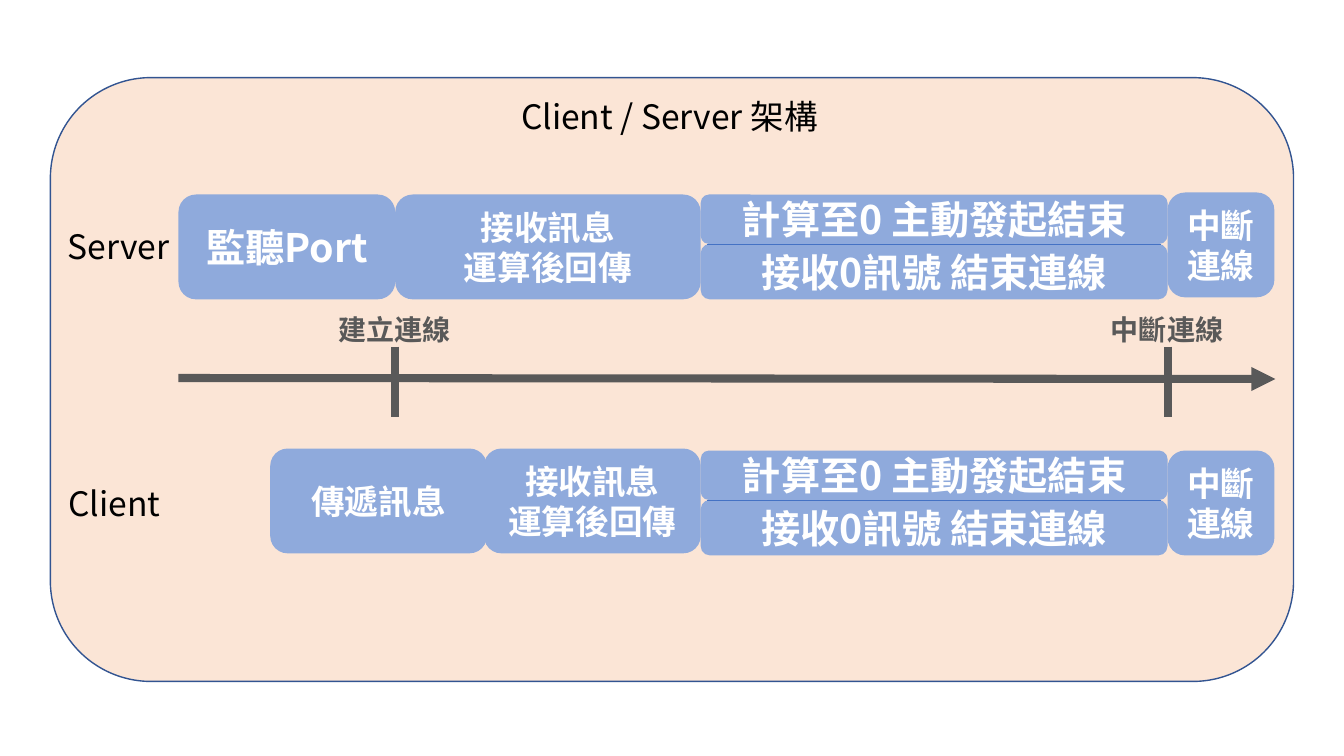
from dataclasses import dataclass

from pptx import Presentation
from pptx.dml.color import RGBColor
from pptx.enum.shapes import MSO_CONNECTOR as Link, MSO_SHAPE as Shape
from pptx.enum.text import MSO_ANCHOR as Anchor, PP_ALIGN as Align
from pptx.oxml.ns import qn
from pptx.util import Inches, Pt


@dataclass(frozen=True)
class Theme:
    """Colours, type sizes and line widths of the slide."""
    font: str = "Noto Sans CJK TC"
    panel: str = "FBE5D6"
    border: str = "325491"
    box: str = "8FAADC"
    divider: str = "4472C4"
    axis: str = "595959"
    ink: str = "000000"
    light: str = "FFFFFF"
    large: int = 28
    body: int = 24
    small: int = 20
    axis_width: float = 5.75
    divider_width: float = 0.5


def write(frame, text, *, size, color, bold=False, align=Align.LEFT,
          anchor=Anchor.TOP, wrap=True, font=Theme.font):
    """Put formatted text in a frame, with \\v as a line break."""
    frame.word_wrap = wrap
    frame.vertical_anchor = anchor
    paragraph = frame.paragraphs[0]
    paragraph.text = text
    paragraph.alignment = align
    for run in paragraph.runs:
        run.font.size = Pt(size)
        run.font.bold = bold
        run.font.name = font
        run.font.color.rgb = RGBColor.from_string(color)
        properties = run.font._element
        east_asian = properties.makeelement(qn("a:ea"), {"typeface": font})
        properties.find(qn("a:latin")).addnext(east_asian)


class Diagram:
    """Draws themed elements on the current slide."""

    def __init__(self, slide, theme):
        """Keep the slide and its theme."""
        self.shapes = slide.shapes
        self.theme = theme

    def rounded(self, left, top, width, height, fill, border=None):
        """Add a rounded rectangle."""
        shape = self.shapes.add_shape(
            Shape.ROUNDED_RECTANGLE, *map(Inches, (left, top, width, height)))
        shape.shadow.inherit = False
        shape.fill.solid()
        shape.fill.fore_color.rgb = RGBColor.from_string(fill)
        if border:
            shape.line.color.rgb = RGBColor.from_string(border)
            shape.line.width = Pt(1)
        else:
            shape.line.fill.background()
        return shape

    def step(self, text, left, top, width, height, size):
        """Add a box that names one step."""
        box = self.rounded(left, top, width, height, self.theme.box)
        write(box.text_frame, text, size=size, color=self.theme.light,
              bold=True, align=Align.CENTER, anchor=Anchor.MIDDLE)

    def label(self, text, left, top, width, height, wrap=False, **style):
        """Add a free-standing text."""
        box = self.shapes.add_textbox(*map(Inches, (left, top, width, height)))
        write(box.text_frame, text, wrap=wrap, **style)

    def line(self, start, end, color, width, arrow=False):
        """Add a straight line, with an arrowhead on request."""
        link = self.shapes.add_connector(
            Link.STRAIGHT, *map(Inches, (*start, *end)))
        link.line.color.rgb = RGBColor.from_string(color)
        link.line.width = Pt(width)
        if arrow:
            outline = link.line._get_or_add_ln()
            outline.append(outline.makeelement(qn("a:tailEnd"), {"type": "triangle"}))
        properties = link._element.spPr
        properties.append(properties.makeelement(qn("a:effectLst"), {}))


theme = Theme()
presentation = Presentation()
presentation.slide_width = Inches(13.33)
presentation.slide_height = Inches(7.5)
diagram = Diagram(presentation.slides.add_slide(presentation.slide_layouts[6]), theme)

AXIS_START, CONNECTED, ENDING, CLOSED = 1.77, 3.92, 6.95, 11.58
STEP_WIDTH, STEP_HEIGHT, CLOSE_WIDTH = 2.15, 1.04, 1.06
ENDING_HEIGHT, INSET = 0.49, 0.06
SERVER_TOP, CLIENT_TOP = 1.93, 4.45
EXCHANGE = "接收訊息\v運算後回傳"
client_exchange = ENDING - STEP_WIDTH

diagram.rounded(0.5, 0.77, 12.33, 5.99, theme.panel, border=theme.border)
plain = dict(size=theme.body, color=theme.ink)
diagram.label("Client / Server 架構", 5.07, 0.9, 3.82, 0.5, wrap=True, **plain)
diagram.label("Server", 0.57, 2.19, 1.21, 0.5, **plain)
diagram.label("Client", 0.58, 4.74, 1.12, 0.5, **plain)

for text, left, top, width, size in (
        ("監聽Port", AXIS_START, SERVER_TOP, STEP_WIDTH, theme.large),
        (EXCHANGE, CONNECTED, SERVER_TOP, ENDING - CONNECTED, theme.body),
        ("傳遞訊息", client_exchange - STEP_WIDTH + 0.03, CLIENT_TOP, STEP_WIDTH, theme.body),
        (EXCHANGE, client_exchange, CLIENT_TOP, STEP_WIDTH, theme.body)):
    diagram.step(text, left, top, width, STEP_HEIGHT, size)

ending_width = CLOSED - ENDING
for ending_top, close_top in ((SERVER_TOP, 1.91), (4.47, 4.47)):
    middle = ending_top + ENDING_HEIGHT
    diagram.step("計算至0 主動發起結束", ENDING, ending_top,
                 ending_width, ENDING_HEIGHT, theme.large)
    diagram.step("接收0訊號 結束連線", ENDING, middle,
                 ending_width, STEP_HEIGHT - ENDING_HEIGHT, theme.large)
    diagram.step("中斷\v連線", CLOSED, close_top, CLOSE_WIDTH, STEP_HEIGHT, theme.body)
    diagram.line((ENDING + INSET, middle), (CLOSED - INSET, middle),
                 theme.divider, theme.divider_width)

diagram.line((AXIS_START, 3.75), (12.65, 3.76), theme.axis, theme.axis_width, arrow=True)
for event, moment in (("建立連線", CONNECTED), ("中斷連線", CLOSED)):
    diagram.line((moment, 3.44), (moment, 4.14), theme.axis, theme.axis_width)
    diagram.label(event, moment - 0.66, 3.05, 1.32, 0.44,
                  size=theme.small, color=theme.axis, bold=True)

presentation.save("out.pptx")
